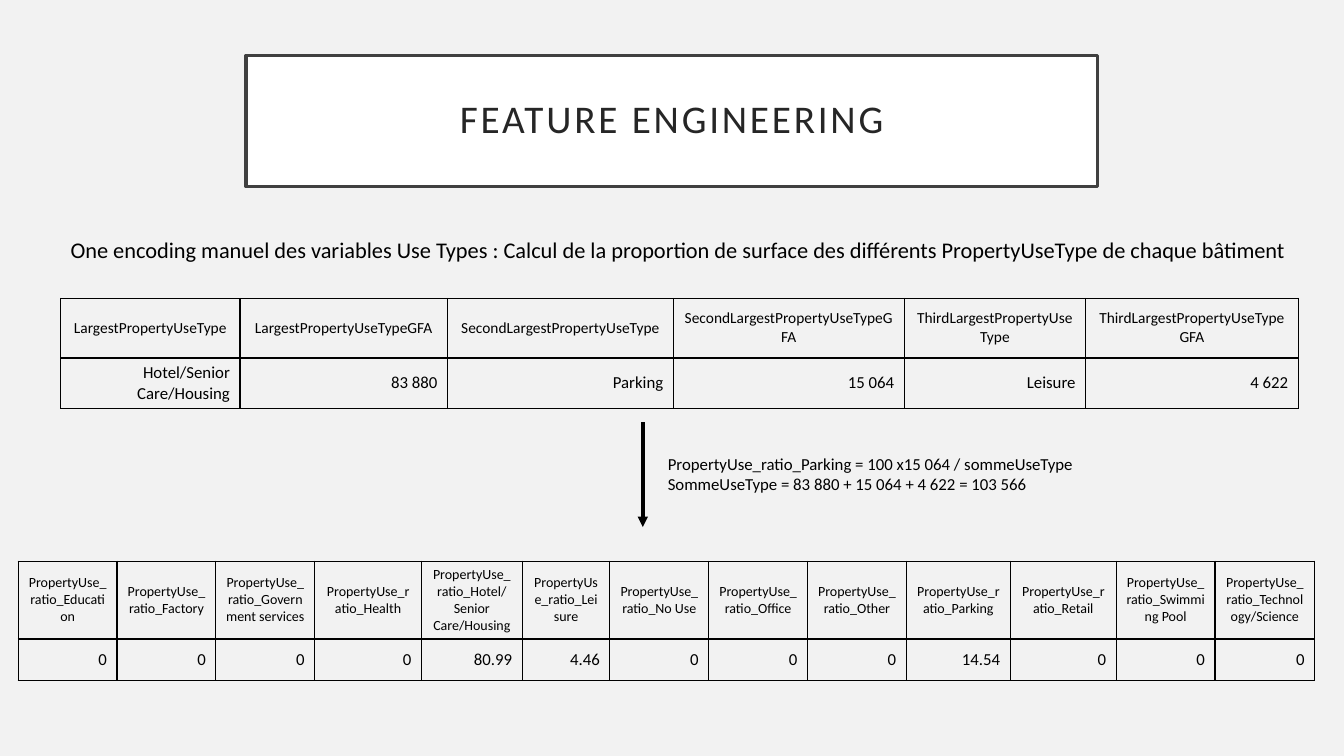
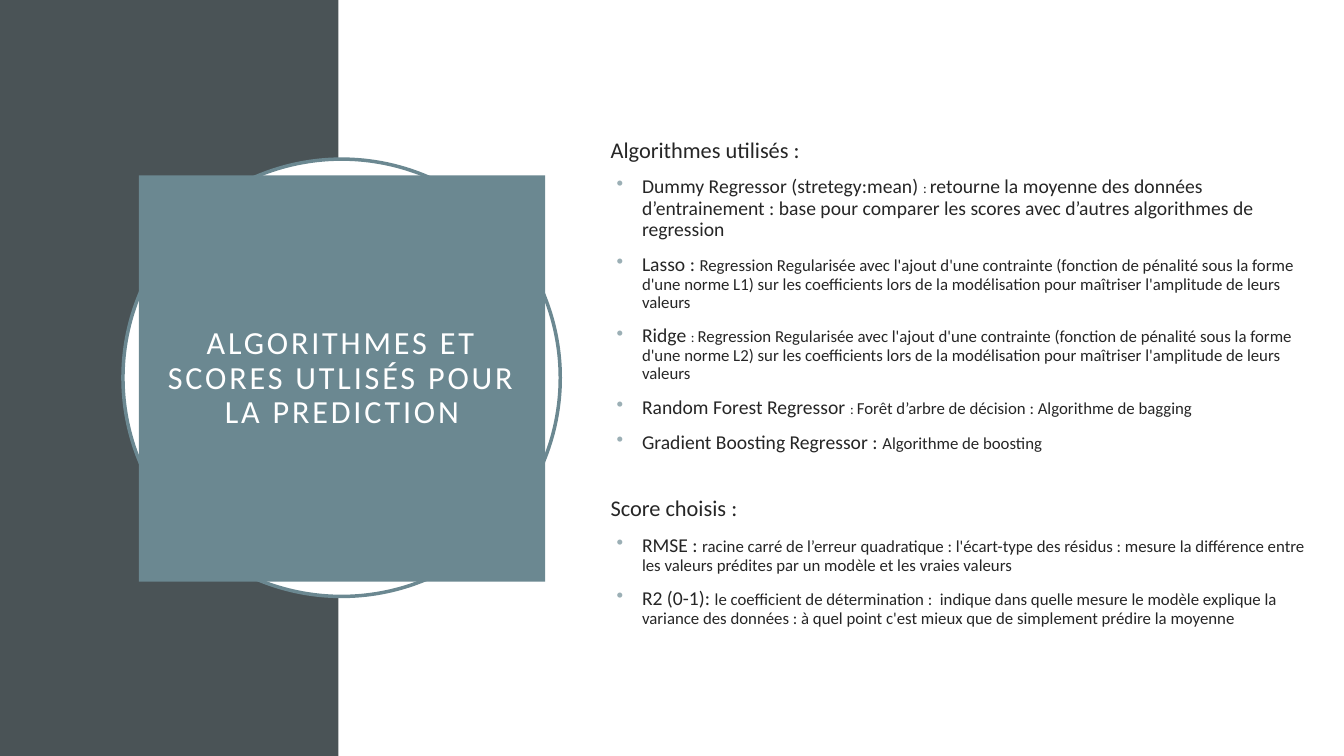
"""Build two slides on feature engineering and on prediction algorithms."""

from dataclasses import dataclass
from typing import NamedTuple

import lxml.etree
import pptx
import pptx.dml.color
import pptx.enum.dml
import pptx.enum.shapes
import pptx.enum.text
import pptx.oxml.ns
import pptx.presentation
import pptx.shapes.autoshape
import pptx.shapes.base
import pptx.slide
import pptx.text.text
import pptx.util

Cm = pptx.util.Cm
Pt = pptx.util.Pt
RGBColor = pptx.dml.color.RGBColor
Align = pptx.enum.text.PP_ALIGN
Anchor = pptx.enum.text.MSO_ANCHOR
ShapeType = pptx.enum.shapes.MSO_SHAPE
qn = pptx.oxml.ns.qn


@dataclass(frozen=True)
class Theme:
    """Colours, type sizes and line widths shared by the slides."""

    font: str = "Calibri"
    black: str = "000000"
    white: str = "FFFFFF"
    pale: str = "F2F2F2"
    frame: str = "404040"
    ink: str = "262626"
    slate: str = "4A5356"
    teal: str = "6B8891"
    bullet: str = "9BAFB5"
    title: float = 28
    panel_title: float = 23
    heading: float = 16
    term: float = 14
    detail: float = 12
    header: float = 11
    small: float = 10
    title_spacing: float = 2
    rule: float = 2.5
    border: float = 1
    line_spacing: float = 0.9


THEME = Theme()


class Box(NamedTuple):
    """Position and size in centimetres."""

    left: float
    top: float
    width: float
    height: float

    def lengths(self) -> tuple[pptx.util.Length, ...]:
        """Return the four values as lengths."""
        return tuple(Cm(value) for value in self)


class Column(NamedTuple):
    """One table column with its width in centimetres."""

    header: str
    value: str
    width: float


class TableSpec(NamedTuple):
    """Place, row heights, header size and columns of a table."""

    box: Box
    row_heights: tuple[float, float]
    header_size: float
    columns: list[Column]


class Piece(NamedTuple):
    """A stretch of text in one size."""

    text: str
    size: float


class Section(NamedTuple):
    """A heading, the space above it in points, and its bullets."""

    heading: str
    space_before: float
    bullets: list[list[Piece]]


USE_TYPES = TableSpec(
    Box(1.53, 7.52, 31.19, 2.77),
    (1.5, 1.27),
    THEME.header,
    [
        Column("LargestPropertyUseType", "Hotel/Senior Care/Housing", 4.52),
        Column("LargestPropertyUseTypeGFA", "83 880", 5.23),
        Column("SecondLargestPropertyUseType", "Parking", 5.69),
        Column("SecondLargestPropertyUseTypeGFA", "15 064", 5.82),
        Column("ThirdLargestPropertyUseType", "Leisure", 4.57),
        Column("ThirdLargestPropertyUseTypeGFA", "4 622", 5.36),
    ],
)

RATIOS = TableSpec(
    Box(0.46, 14.14, 32.59, 3),
    (1.96, 1.04),
    THEME.small,
    [
        Column(f"PropertyUse_ratio_{use}", value, width)
        for use, value, width in (
            ("Education", "0", 2.49),
            ("Factory", "0", 2.49),
            ("Government services", "0", 2.49),
            ("Health", "0", 2.69),
            ("Hotel/Senior Care/Housing", "80.99", 2.54),
            ("Leisure", "4.46", 2.21),
            ("No Use", "0", 2.49),
            ("Office", "0", 2.49),
            ("Other", "0", 2.49),
            ("Parking", "14.54", 2.62),
            ("Retail", "0", 2.67),
            ("Swimming Pool", "0", 2.49),
            ("Technology/Science", "0", 2.51),
        )
    ],
)


def penalty(norm: str) -> str:
    """Describe a regression regularised with the given norm."""
    return (
        "Regression Regularisée avec l'ajout d'une contrainte (fonction de pénalité sous la forme "
        f"d'une norme {norm}) sur les coefficients lors de la modélisation pour maîtriser "
        "l'amplitude de leurs valeurs"
    )


COLON = Piece(": ", THEME.small)
SECTIONS = [
    Section("Algorithmes utilisés :", 10, [
        [Piece("Dummy Regressor (stretegy:mean) ", THEME.term), COLON,
         Piece("retourne la moyenne des données d’entrainement : base pour comparer les scores "
               "avec d’autres algorithmes de regression", THEME.term)],
        [Piece("Lasso : ", THEME.term), Piece(penalty("L1"), THEME.detail)],
        [Piece("Ridge ", THEME.term), COLON, Piece(penalty("L2"), THEME.detail)],
        [Piece("Random Forest Regressor ", THEME.term), COLON,
         Piece("Forêt d’arbre de décision : Algorithme de bagging", THEME.detail)],
        [Piece("Gradient Boosting Regressor : ", THEME.term),
         Piece("Algorithme de boosting", THEME.detail)],
    ]),
    Section("Score choisis :", 31, [
        [Piece("RMSE : ", THEME.term),
         Piece("racine carré de l’erreur quadratique : l'écart-type des résidus : mesure la "
               "différence entre les valeurs prédites par un modèle et les vraies valeurs",
               THEME.detail)],
        [Piece("R2 (0-1): ", THEME.term),
         Piece("le coefficient de détermination :  indique dans quelle mesure le modèle explique "
               "la variance des données : à quel point c'est mieux que de simplement prédire la "
               "moyenne", THEME.detail)],
    ]),
]


def color(value: str) -> RGBColor:
    """Turn a hexadecimal value into a colour."""
    return RGBColor.from_string(value)


def format_runs(paragraph: pptx.text.text._Paragraph, size: float, ink: str) -> None:
    """Give every run of a paragraph the theme font, a size and a colour."""
    for run in paragraph.runs:
        run.font.name = THEME.font
        run.font.size = Pt(size)
        run.font.color.rgb = color(ink)


def paint(shape: pptx.shapes.autoshape.Shape, fill: str, line: str | None = None) -> None:
    """Fill a shape and outline it when a line colour is given."""
    shape.fill.solid()
    shape.fill.fore_color.rgb = color(fill)
    if line is None:
        shape.line.fill.background()
    else:
        shape.line.color.rgb = color(line)
        shape.line.width = Pt(THEME.rule)


def add_slide(presentation: pptx.presentation.Presentation, background: str) -> pptx.slide.Slide:
    """Add a title-only slide with a plain background."""
    slide = presentation.slides.add_slide(presentation.slide_layouts.get_by_name("Title Only"))
    slide.background.fill.solid()
    slide.background.fill.fore_color.rgb = color(background)
    return slide


def set_title(slide: pptx.slide.Slide, text: str, box: Box, size: float, ink: str,
              fill: str, line: str | None = None) -> None:
    """Place the title in front as a filled box with spaced, centred text."""
    title = slide.shapes.title
    title.left, title.top, title.width, title.height = box.lengths()
    title.element.getparent().append(title.element)
    paint(title, fill, line)
    frame = title.text_frame
    frame.text = text
    frame.word_wrap = True
    frame.auto_size = pptx.enum.text.MSO_AUTO_SIZE.NONE
    frame.vertical_anchor = Anchor.MIDDLE
    frame.margin_left = frame.margin_right = frame.margin_top = frame.margin_bottom = Cm(0.51)
    paragraph = frame.paragraphs[0]
    paragraph.alignment = Align.CENTER
    paragraph.line_spacing = THEME.line_spacing
    format_runs(paragraph, size, ink)
    for run in paragraph.runs:
        run.font._element.set("spc", str(round(THEME.title_spacing * 100)))


def add_shape(slide: pptx.slide.Slide, kind: ShapeType, box: Box, fill: str,
              line: str | None = None) -> None:
    """Add a flat preset shape."""
    shape = slide.shapes.add_shape(kind, *box.lengths())
    shape.shadow.inherit = False
    paint(shape, fill, line)


def add_text(slide: pptx.slide.Slide, text: str, box: Box, size: float) -> None:
    """Add a wrapping text box in black."""
    frame = slide.shapes.add_textbox(*box.lengths()).text_frame
    frame.word_wrap = True
    frame.text = text
    for paragraph in frame.paragraphs:
        format_runs(paragraph, size, THEME.black)


def add_table(slide: pptx.slide.Slide, spec: TableSpec) -> None:
    """Add a bordered table with one header row and one value row."""
    table = slide.shapes.add_table(2, len(spec.columns), *spec.box.lengths()).table
    table.first_row = table.horz_banding = False
    for row, height in zip(table.rows, spec.row_heights):
        row.height = Cm(height)
    for index, column in enumerate(spec.columns):
        table.columns[index].width = Cm(column.width)
        styles = ((column.header, spec.header_size, Align.CENTER),
                  (column.value, THEME.detail, Align.RIGHT))
        for row_index, (text, size, alignment) in enumerate(styles):
            cell = table.cell(row_index, index)
            cell.text_frame.text = text
            cell.vertical_anchor = Anchor.MIDDLE
            paragraph = cell.text_frame.paragraphs[0]
            paragraph.alignment = alignment
            format_runs(paragraph, size, THEME.black)
            properties = cell._tc.get_or_add_tcPr()
            for side in ("a:lnL", "a:lnR", "a:lnT", "a:lnB"):
                border = lxml.etree.SubElement(properties, qn(side), w=str(Pt(THEME.border)))
                solid = lxml.etree.SubElement(border, qn("a:solidFill"))
                lxml.etree.SubElement(solid, qn("a:srgbClr"), val=THEME.black)
            cell.fill.solid()
            cell.fill.fore_color.rgb = color(THEME.pale)


def add_down_arrow(slide: pptx.slide.Slide, x: float, top: float, bottom: float) -> None:
    """Add a vertical arrow pointing down."""
    arrow = slide.shapes.add_connector(
        pptx.enum.shapes.MSO_CONNECTOR.STRAIGHT, Cm(x), Cm(top), Cm(x), Cm(bottom))
    arrow.line.color.rgb = color(THEME.black)
    arrow.line.width = Pt(THEME.rule)
    lxml.etree.SubElement(arrow.line._get_or_add_ln(), qn("a:tailEnd"), type="triangle")
    lxml.etree.SubElement(arrow._element.spPr, qn("a:effectLst"))


def add_sections(slide: pptx.slide.Slide, sections: list[Section], box: Box) -> None:
    """Add headings with bulleted lists in one text box."""
    frame = slide.shapes.add_textbox(*box.lengths()).text_frame
    frame.word_wrap = True
    frame.vertical_anchor = Anchor.MIDDLE
    frame.margin_bottom = Cm(0.86)
    for section in sections:
        heading = [Piece(section.heading, THEME.heading)]
        for pieces in (heading, *section.bullets):
            first = section is sections[0] and pieces is heading
            paragraph = frame.paragraphs[0] if first else frame.add_paragraph()
            paragraph.line_spacing = THEME.line_spacing
            paragraph.space_before = Pt(section.space_before if pieces is heading else 10)
            for piece in pieces:
                run = paragraph.add_run()
                run.text = piece.text
            format_runs(paragraph, THEME.heading, THEME.ink)
            for run, piece in zip(paragraph.runs, pieces):
                run.font.size = Pt(piece.size)
            if pieces is not heading:
                properties = paragraph._p.get_or_add_pPr()
                properties.set("marL", str(Cm(0.79)))
                properties.set("indent", str(-Cm(0.64)))
                tint = lxml.etree.SubElement(properties, qn("a:buClr"))
                lxml.etree.SubElement(tint, qn("a:srgbClr"), val=THEME.bullet)
                lxml.etree.SubElement(properties, qn("a:buChar"), char="•")


def build_features(presentation: pptx.presentation.Presentation) -> None:
    """Build the slide on encoding use types as ratios."""
    slide = add_slide(presentation, THEME.pale)
    set_title(slide, "FEATURE ENGINEERING", Box(6.2, 1.4, 21.46, 3.3), THEME.title,
              THEME.ink, THEME.white, THEME.frame)
    add_text(slide, "One encoding manuel des variables Use Types : Calcul de la proportion de "
             "surface des différents PropertyUseType de chaque bâtiment",
             Box(1.53, 5.82, 31.65, 1.7), THEME.heading)
    add_table(slide, USE_TYPES)
    add_table(slide, RATIOS)
    add_down_arrow(slide, 16.2, 10.64, 13.28)
    add_text(slide, "PropertyUse_ratio_Parking = 100 x15 064 / sommeUseType\n"
             "SommeUseType = 83 880 + 15 064 + 4 622 = 103 566",
             Box(16.58, 11.3, 11.1, 1.27), THEME.detail)


def build_algorithms(presentation: pptx.presentation.Presentation) -> None:
    """Build the slide on algorithms and scores."""
    slide = add_slide(presentation, THEME.white)
    add_shape(slide, ShapeType.RECTANGLE, Box(0, 0, 8.53, 19.05), THEME.slate)
    add_shape(slide, ShapeType.OVAL, Box(3.1, 4.01, 11.02, 11.02), THEME.white, THEME.teal)
    set_title(slide, "ALGORITHMES ET SCORES UTLISÉS POUR LA PREDICTION",
              Box(3.5, 4.42, 10.24, 10.24), THEME.panel_title, THEME.white, THEME.teal)
    add_sections(slide, SECTIONS, Box(15.14, 2.92, 18.08, 14.22))


def main() -> None:
    """Build and save the presentation."""
    presentation = pptx.Presentation()
    presentation.slide_width, presentation.slide_height = Cm(33.87), Cm(19.05)
    build_features(presentation)
    build_algorithms(presentation)
    presentation.save("out.pptx")


if __name__ == "__main__":
    main()
